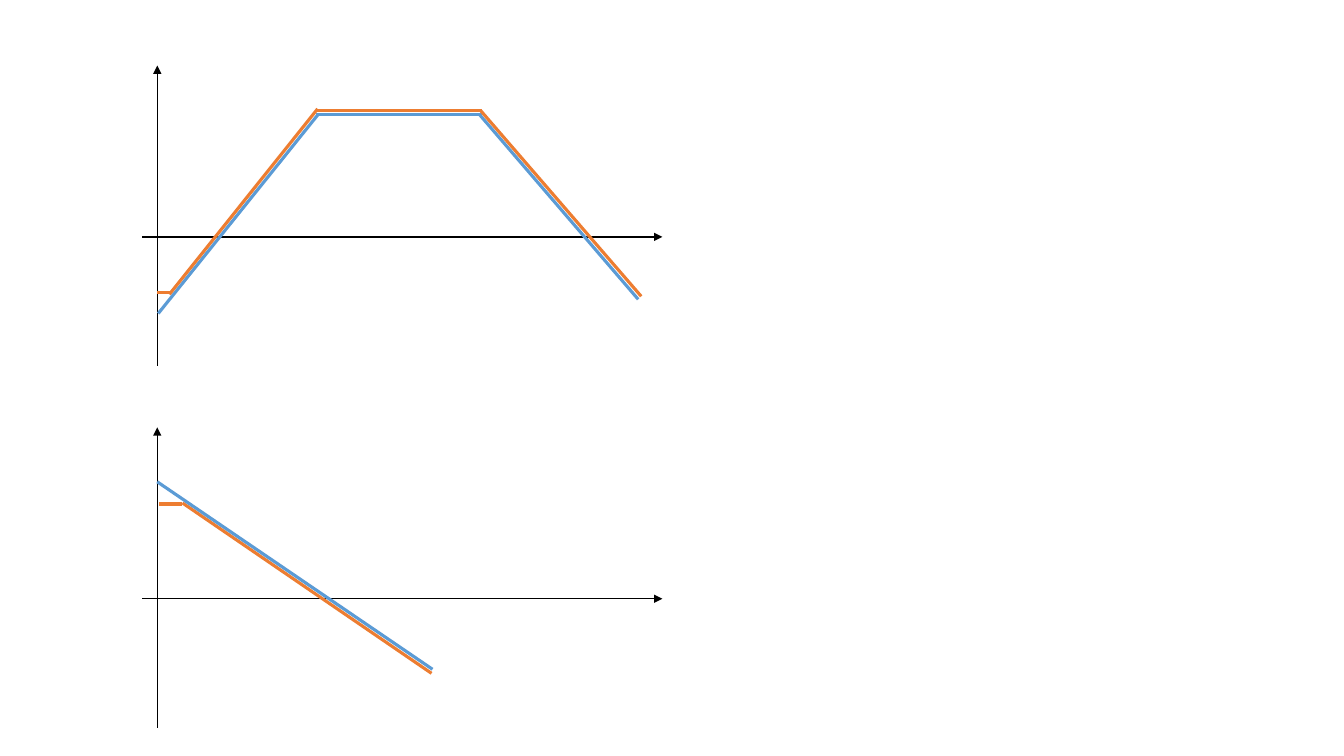
from dataclasses import dataclass

from lxml import etree
from pptx import Presentation
from pptx.dml.color import RGBColor
from pptx.enum.shapes import MSO_CONNECTOR
from pptx.oxml.ns import qn
from pptx.util import Inches, Pt

STRAIGHT = MSO_CONNECTOR.STRAIGHT
COLORS = {"axis": "000000", "blue": "5B9BD5", "orange": "ED7D31"}
WIDTHS = {"axis": 1, "blue": 2.25, "orange": 2.25}
AXES_PITCH = 3.59


@dataclass(frozen=True)
class Segment:
    role: str
    x1: float
    y1: float
    x2: float
    y2: float


def axes(top: float) -> list[Segment]:
    return [
        Segment("axis", 1.41, top + 1.7, 6.57, top + 1.7),
        Segment("axis", 1.56, top + 2.98, 1.56, top),
    ]


def draw_segment(shapes, segment: Segment) -> None:
    ends = (segment.x1, segment.y1, segment.x2, segment.y2)
    connector = shapes.add_connector(STRAIGHT, *map(Inches, ends))
    connector.line.color.rgb = RGBColor.from_string(COLORS[segment.role])
    connector.line.width = Pt(WIDTHS[segment.role])
    properties = connector._element.spPr
    if segment.role == "axis":
        outline = properties.find(qn("a:ln"))
        etree.SubElement(outline, qn("a:tailEnd"), type="triangle")
    etree.SubElement(properties, qn("a:effectLst"))


TRAPEZOID_CURVES = [
    Segment("blue", 1.57, 3.11, 3.16, 1.13),
    Segment("blue", 3.13, 1.14, 4.78, 1.14),
    Segment("blue", 4.75, 1.13, 6.33, 2.97),
    Segment("orange", 1.56, 2.9, 1.69, 2.9),
    Segment("orange", 1.68, 2.92, 3.15, 1.08),
    Segment("orange", 3.13, 1.1, 4.78, 1.1),
    Segment("orange", 4.77, 1.1, 6.36, 2.94),
]
FALLING_CURVES = [
    Segment("orange", 1.81, 4.99, 4.28, 6.68),
    Segment("blue", 1.56, 4.78, 4.29, 6.64),
    Segment("orange", 1.58, 5, 1.81, 5),
]


def main() -> None:
    presentation = Presentation()
    presentation.slide_width = Inches(13.33)
    presentation.slide_height = Inches(7.5)
    slide = presentation.slides.add_slide(presentation.slide_layouts[6])
    for row, curves in enumerate((TRAPEZOID_CURVES, FALLING_CURVES)):
        for segment in axes(0.65 + row * AXES_PITCH) + curves:
            draw_segment(slide.shapes, segment)
    presentation.save("out.pptx")


if __name__ == "__main__":
    main()
